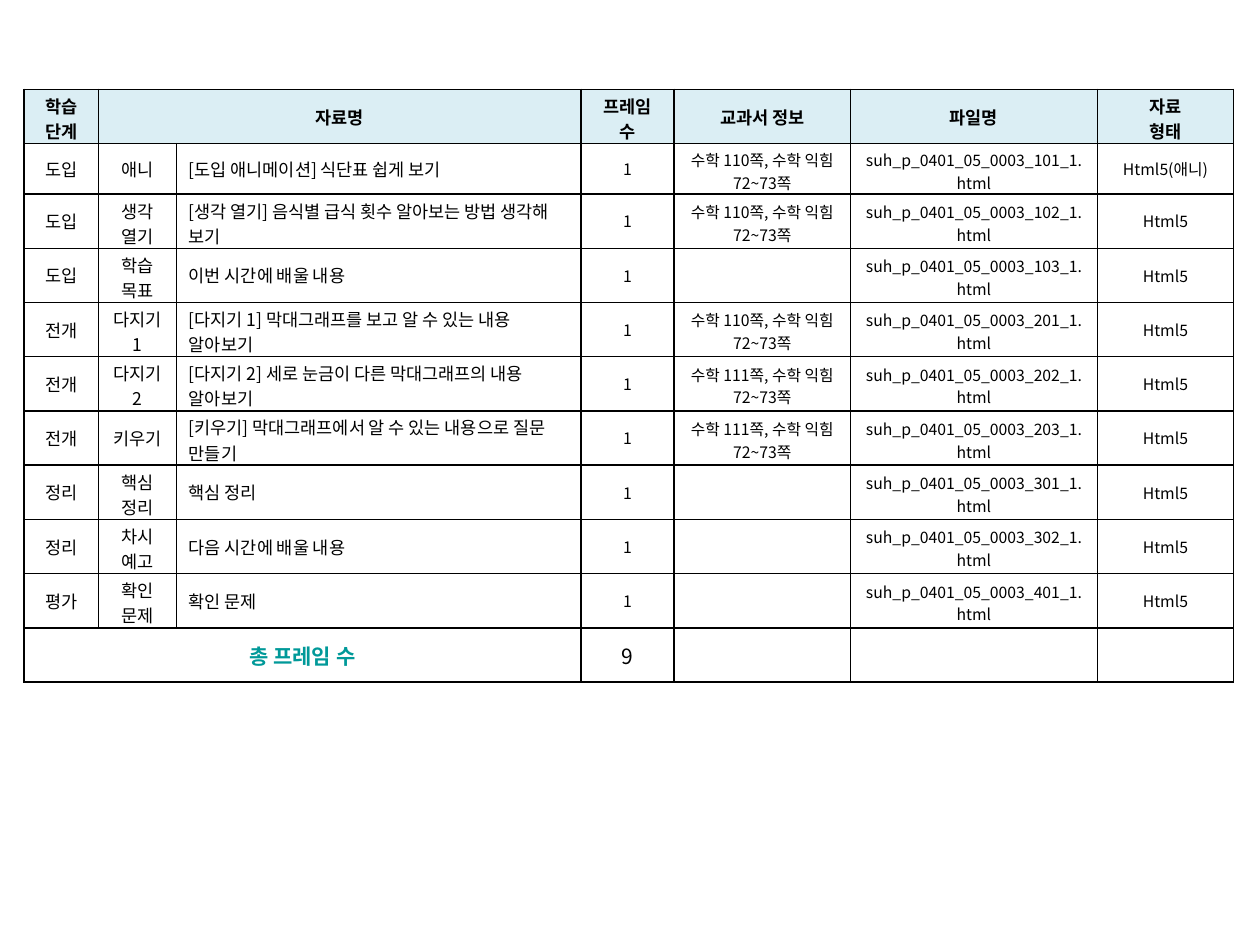
from lxml import etree
from pptx import Presentation, util as u
from pptx.dml.color import RGBColor
from pptx.enum import text
from pptx.oxml.ns import qn

FONT = "Noto Sans CJK KR"
COLS = [0.59, 0.62, 3.21, 0.74, 1.4, 1.96, 1.08]
ROWS = [0.43, 0.4] + [0.43] * 9
HEADER = ["학습 단계", "자료명", "", "프레임 수", "교과서 정보", "파일명", "자료\n형태"]
LESSONS = [
    ("도입", "애니", "[도입 애니메이션] 식단표 쉽게 보기", 110, 101),
    ("도입", "생각 열기", "[생각 열기] 음식별 급식 횟수 알아보는 방법 생각해 보기", 110, 102),
    ("도입", "학습 목표", "이번 시간에 배울 내용", None, 103),
    ("전개", "다지기 1", "[다지기 1] 막대그래프를 보고 알 수 있는 내용 알아보기", 110, 201),
    ("전개", "다지기 2", "[다지기 2] 세로 눈금이 다른 막대그래프의 내용 알아보기", 111, 202),
    ("전개", "키우기", "[키우기] 막대그래프에서 알 수 있는 내용으로 질문 만들기", 111, 203),
    ("정리", "핵심 정리", "핵심 정리", None, 301),
    ("정리", "차시 예고", "다음 시간에 배울 내용", None, 302),
    ("평가", "확인 문제", "확인 문제", None, 401),
]
TOTAL = ["총 프레임 수", "", "", str(len(LESSONS)), "", "", ""]


def rgb(value):
    """Return the colour for a hex string."""
    return RGBColor.from_string(value)


def lesson_row(stage, step, title, page, number):
    """Return the seven texts of one lesson row."""
    book = f"수학 {page}쪽, 수학 익힘 72~73쪽" if page else ""
    kind = "Html5(애니)" if step == "애니" else "Html5"
    return [stage, step, title, "1", book, f"suh_p_0401_05_0003_{number}_1.html", kind]


def wraps(value, size, width):
    """Tell whether a text needs two lines in a column."""
    ems = sum(0.92 if "가" <= c <= "힣" else 0.55 for c in value)
    return "\n" in value or ems * size / 72 > width - 0.2


def add_borders(cell, color="000000", width=1):
    """Draw a solid line on all four sides of a cell."""
    tcPr = cell._tc.get_or_add_tcPr()
    for i, side in enumerate(("lnL", "lnR", "lnT", "lnB")):
        ln = etree.Element(qn(f"a:{side}"), w=str(u.Pt(width)))
        fill = etree.SubElement(ln, qn("a:solidFill"))
        etree.SubElement(fill, qn("a:srgbClr"), val=color)
        tcPr.insert(i, ln)


def format_cell(cell, value, size, bold=False, color="000000", fill=None, left=False):
    """Write and style one cell."""
    cell.text_frame.text = value
    cell.vertical_anchor = text.MSO_ANCHOR.MIDDLE
    if fill:
        cell.fill.solid()
        cell.fill.fore_color.rgb = rgb(fill)
    else:
        cell.fill.background()
    add_borders(cell)
    for p in cell.text_frame.paragraphs:
        p.alignment = text.PP_ALIGN.LEFT if left else text.PP_ALIGN.CENTER
        if not p.runs:
            etree.SubElement(p._p, qn("a:endParaRPr"), sz=str(size * 100))
        for r in p.runs:
            r.font.size, r.font.bold, r.font.name = u.Pt(size), bold, FONT
            r.font.color.rgb = rgb(color)
            etree.SubElement(r.font._element, qn("a:ea"), typeface=FONT)


def add_lesson_table(s, left, top):
    """Place the lesson table with its header and total rows."""
    rows = [HEADER, *(lesson_row(*lesson) for lesson in LESSONS), TOTAL]
    last = len(rows) - 1
    frame = s.shapes.add_table(len(rows), len(COLS), u.Inches(left), u.Inches(top),
                               u.Inches(sum(COLS)), u.Inches(sum(ROWS)))
    table = frame.table
    table.first_row = table.horz_banding = False
    for column, width in zip(table.columns, COLS):
        column.width = u.Inches(width)
    for row, height in zip(table.rows, ROWS):
        row.height = u.Inches(height)
    for i, values in enumerate(rows):
        for j, value in enumerate(values):
            cell = table.cell(i, j)
            if i == 0:
                size = 10
                format_cell(cell, value, size, bold=True, fill="DBEEF4")
            elif i == last:
                size = 12
                color = "009999" if j == 0 else "000000"
                format_cell(cell, value, size, bold=j == 0, color=color)
            else:
                size = 10 if j < 3 else 9
                format_cell(cell, value, size, left=j == 2)
            if i < last and wraps(value, size, COLS[j]):
                cell.margin_top, cell.margin_bottom = u.Inches(0.03), 0
            if j == 2:
                cell.margin_right = u.Inches(0.14)
    table.cell(0, 1).merge(table.cell(0, 2))
    table.cell(last, 0).merge(table.cell(last, 2))


def main():
    """Build and save the slide."""
    prs = Presentation()
    prs.slide_width, prs.slide_height = u.Inches(10), u.Inches(7.5)
    s = prs.slides.add_slide(prs.slide_layouts[6])
    add_lesson_table(s, 0.19, 0.71)
    prs.save("out.pptx")


if __name__ == "__main__":
    main()
